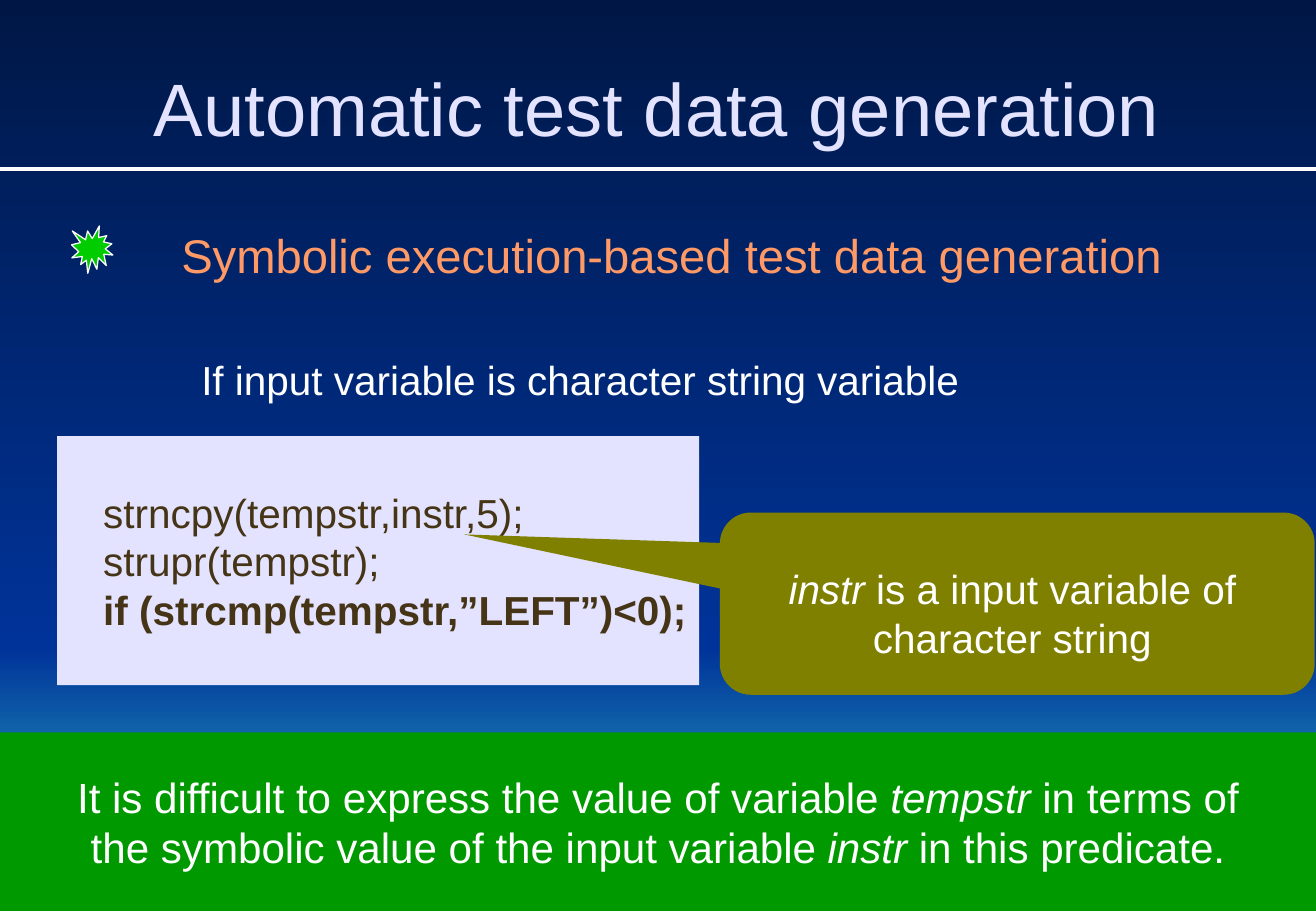
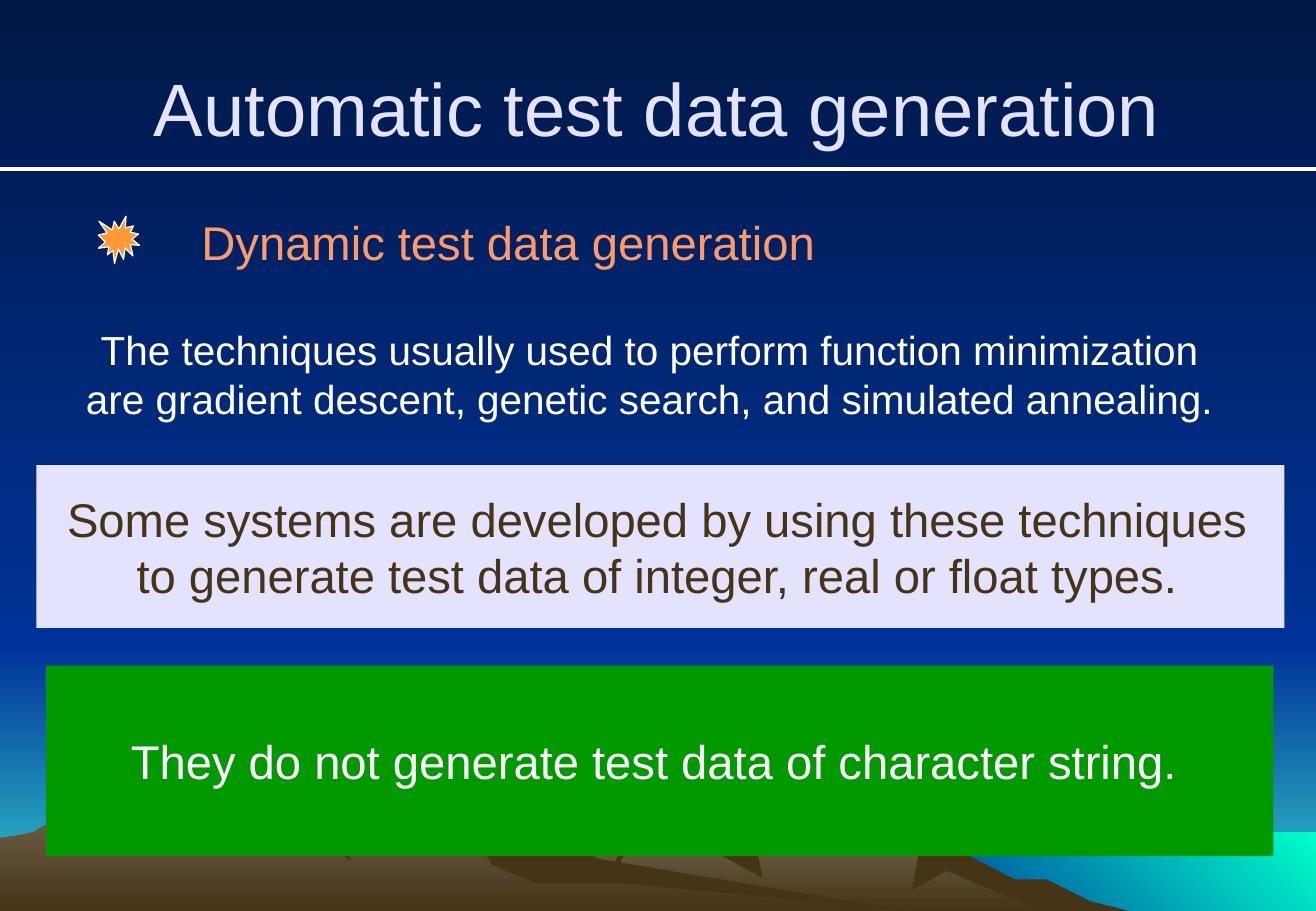
from lxml import etree
from pptx import Presentation
from pptx.dml.color import RGBColor
from pptx.enum.shapes import MSO_CONNECTOR, MSO_SHAPE
from pptx.enum.text import MSO_ANCHOR, PP_ALIGN
from pptx.oxml.ns import qn
from pptx.util import Pt

PX = 9144  # 100 px to the inch
W, H = 1084, 750
HORIZON, RULE_Y = 533, 139
FONT = "Arial"
RECT, BURST = MSO_SHAPE.RECTANGLE, MSO_SHAPE.EXPLOSION1
CALLOUT = MSO_SHAPE.ROUNDED_RECTANGULAR_CALLOUT
LEFT, CENTER = PP_ALIGN.LEFT, PP_ALIGN.CENTER

WHITE, LILAC, ORANGE = "FFFFFF", "E3E3FF", "FF9966"
GREEN, OLIVE, BROWN = "009900", "808000", "463416"
NIGHT, BLUE, TEAL = "001746", "003399", "33CCCC"

TITLE = "Automatic test data generation"

# Back to front: fill (or two gradient colours and an angle), outline
LANDSCAPE = [
    (("00FFCC", BLUE, 135), [(1084, 750), (740, 750), (740, 685), (1084, 685)]),
    (("837763", BROWN, 90), [
        (869, 740), (843, 727), (827, 723), (783, 698), (760, 671), (742, 660),
        (710, 671), (681, 671), (614, 697), (581, 690), (570, 673), (526, 673),
        (510, 658), (503, 658), (474, 671), (427, 685), (384, 698), (354, 709),
        (300, 739), (280, 750), (889, 750)]),
    (BROWN, [
        (862, 724), (836, 724), (795, 703), (766, 671), (742, 660), (748, 680),
        (757, 702), (751, 733), (780, 717), (858, 750), (930, 750), (898, 742)]),
    (BROWN, [
        (510, 658), (514, 662), (507, 671), (512, 690), (503, 727), (514, 704),
        (519, 700), (531, 682), (538, 671)]),
    (BROWN, [
        (573, 676), (570, 683), (581, 697), (628, 723), (624, 700), (641, 689),
        (617, 692), (587, 685)]),
    (("72644E", BROWN, 90), [
        (748, 750), (723, 748), (468, 712), (383, 665), (359, 663), (344, 664),
        (302, 681), (281, 676), (255, 681), (242, 663), (225, 658), (213, 658),
        (182, 669), (143, 671), (102, 671), (73, 662), (54, 672), (38, 679),
        (28, 685), (15, 688), (0, 690), (0, 750)]),
    (BROWN, [
        (229, 663), (225, 669), (252, 690), (261, 688), (289, 709), (282, 689),
        (294, 682), (265, 668), (231, 659)]),
    (BROWN, [
        (400, 668), (383, 665), (372, 665), (368, 669), (365, 687), (377, 683),
        (394, 691), (405, 712), (441, 727), (512, 727), (748, 750), (493, 707),
        (445, 684), (418, 675)]),
]

# Paragraphs are strings or lists of runs; a run is a string or (style, string)
SLIDES = [
    dict(landscape=False, burst=((59, 186, 34, 39), "00CC00"), boxes=[
        dict(at=(22, 147, 1062, 126), size=28, color=ORANGE,
             text=["Symbolic execution-based test data generation"]),
        dict(at=(30, 257, 896, 110), size=24,
             text=["If input variable is character string variable"]),
        dict(at=(47, 359, 529, 205), shape=RECT, fill=LILAC, size=24, color=BROWN,
             align=LEFT, insets=(38, 5, 0, 5),
             text=["strncpy(tempstr,instr,5);", "strupr(tempstr);",
                   [("b", "if (strcmp(tempstr,”LEFT”)<0);")]]),
        dict(at=(593, 422, 490, 150), shape=CALLOUT, adjust=(-0.93, -0.38, 0.17),
             fill=OLIVE, size=24, insets=(10, 20, 18, 5),
             text=[[("i", "instr"), " is a input variable of"], "character string"]),
        dict(at=(0, 603, W, 147), shape=RECT, fill=GREEN, size=25,
             text=[["It is difficult to express the value of variable ",
                    ("i", "tempstr"), " in terms of"],
                   ["the symbolic value of the input variable ",
                    ("i", "instr"), " in this predicate."]]),
    ]),
    dict(landscape=True, burst=((81, 178, 34, 39), "FF9933"), boxes=[
        dict(at=(22, 133, 793, 131), size=28, color=ORANGE,
             text=["Dynamic test data generation"]),
        dict(at=(51, 241, 968, 134), size=24,
             text=["The techniques usually used to perform function minimization",
                   "are gradient descent, genetic search, and simulated annealing."]),
        dict(at=(30, 383, 1028, 134), shape=RECT, fill=LILAC, size=28, color=BROWN,
             insets=(10, 5, 16, 5),
             text=["Some systems are developed by using these techniques",
                   "to generate test data of integer, real or float types."]),
        dict(at=(38, 548, 1011, 157), shape=RECT, fill=GREEN, size=28,
             insets=(10, 5, 20, 5),
             text=["They do not generate test data of character string."]),
    ]),
]


def px(*lengths):
    return [n * PX for n in lengths]


def rgb(value):
    return RGBColor.from_string(value)


def paint(sp, fill, line=None):
    """Fill with a colour or a (start, end, clockwise angle) gradient."""
    sp.shadow.inherit = False
    if isinstance(fill, str):
        sp.fill.solid()
        sp.fill.fore_color.rgb = rgb(fill)
    else:
        *colors, angle = fill
        sp.fill.gradient()
        sp.fill.gradient_angle = 360 - angle
        for stop, color in zip(sp.fill.gradient_stops, colors):
            stop.color.rgb = rgb(color)
    if line:
        sp.line.color.rgb = rgb(line)
        sp.line.width = Pt(0.75)
    else:
        sp.line.fill.background()


def add_box(s, at, text, size, color=WHITE, shape=None, fill=None, adjust=(),
            align=CENTER, insets=(10, 5, 10, 5)):
    if shape is None:
        sp = s.shapes.add_textbox(*px(*at))
    else:
        sp = s.shapes.add_shape(shape, *px(*at))
        paint(sp, fill)
        for i, value in enumerate(adjust):
            sp.adjustments[i] = value
    tf = sp.text_frame
    tf.word_wrap = True
    tf.vertical_anchor = MSO_ANCHOR.MIDDLE
    tf.margin_left, tf.margin_top, tf.margin_right, tf.margin_bottom = px(*insets)
    for i, runs in enumerate(text):
        p = tf.add_paragraph() if i else tf.paragraphs[0]
        p.alignment = align
        p.font.name, p.font.size = FONT, Pt(size)
        p.font.color.rgb = rgb(color)
        for run in [runs] if isinstance(runs, str) else runs:
            style, words = ("", run) if isinstance(run, str) else run
            r = p.add_run()
            r.text = words
            if style == "i":
                r.font.italic = True
            elif style == "b":
                r.font.bold = True


def add_backdrop(s, landscape):
    for top, bottom, fill in [(HORIZON, H, (BLUE, TEAL, 90)),
                              (0, HORIZON, (NIGHT, BLUE, 90))]:
        paint(s.shapes.add_shape(RECT, *px(0, top, W, bottom - top)), fill)
    if landscape:
        for fill, points in LANDSCAPE:
            outline = s.shapes.build_freeform(*points[0], scale=PX)
            outline.add_line_segments(points[1:])
            paint(outline.convert_to_shape(), fill)


def add_title(s):
    add_box(s, (54, 25, 975, 125), [TITLE], 44, LILAC)
    rule = s.shapes.add_connector(MSO_CONNECTOR.STRAIGHT, *px(0, RULE_Y, W, RULE_Y))
    rule.line.color.rgb = rgb(WHITE)
    rule.line.width = Pt(2.25)
    etree.SubElement(rule._element.spPr, qn("a:effectLst"))


def main():
    prs = Presentation()
    prs.slide_width, prs.slide_height = px(W, H)
    for content in SLIDES:
        s = prs.slides.add_slide(prs.slide_layouts[6])
        add_backdrop(s, content["landscape"])
        add_title(s)
        for box in content["boxes"]:
            add_box(s, **box)
        at, fill = content["burst"]
        paint(s.shapes.add_shape(BURST, *px(*at)), fill, WHITE)
    prs.save("out.pptx")


if __name__ == "__main__":
    main()
